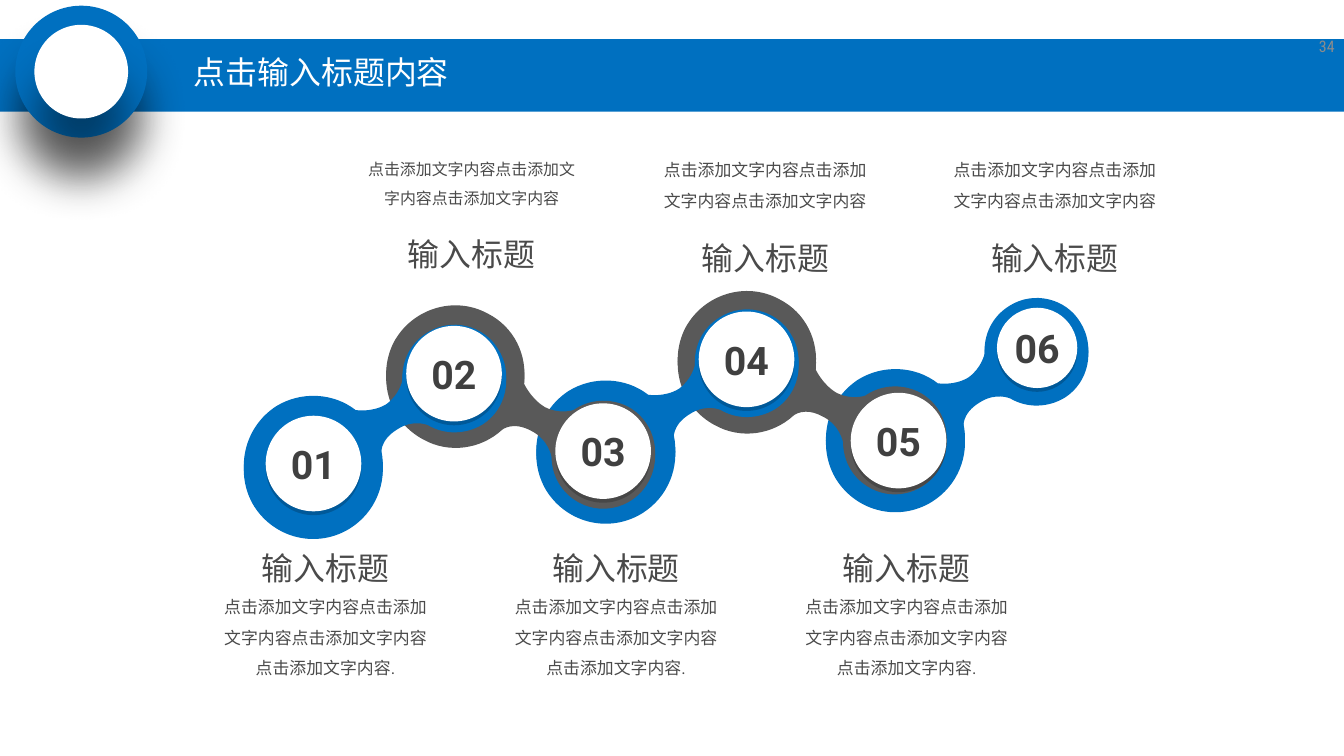
from lxml import etree
from pptx import Presentation
from pptx.dml.color import RGBColor
from pptx.enum.shapes import MSO_SHAPE
from pptx.enum.text import MSO_ANCHOR, PP_ALIGN
from pptx.oxml.ns import qn
from pptx.util import Inches, Pt

RECTANGLE, OVAL = MSO_SHAPE.RECTANGLE, MSO_SHAPE.OVAL
LEFT, CENTER, RIGHT = PP_ALIGN.LEFT, PP_ALIGN.CENTER, PP_ALIGN.RIGHT
TOP, MIDDLE = MSO_ANCHOR.TOP, MSO_ANCHOR.MIDDLE

BLUE = RGBColor(0x00, 0x70, 0xC0)
GRAY = RGBColor(0x59, 0x59, 0x59)
BLACK = RGBColor(0x00, 0x00, 0x00)
WHITE = RGBColor(0xFF, 0xFF, 0xFF)
NUMBER_COLOR = RGBColor(0x40, 0x40, 0x40)
CAPTION_COLOR = RGBColor(0x4A, 0x4A, 0x4A)
PAGE_COLOR = RGBColor(0x8C, 0x8C, 0x8C)

CELL = Inches(1)
COLUMNS, ROWS = 14.06, 7.91
DROP = 0.04

HEADING = "输入标题"
PHRASE = "点击添加文字内容"

RISING_CURVES = [
    ((0.93, -0.89), (0.9, -0.74), (0.76, -0.64)),
    ((0.61, -0.55), (0.44, -0.58), (0.44, -0.58)),
    ((0.21, -0.76), (-0.13, -0.78), (-0.39, -0.62)),
    ((-0.73, -0.4), (-0.83, 0.05), (-0.62, 0.39)),
    ((-0.4, 0.73), (0.04, 0.83), (0.38, 0.62)),
    ((0.65, 0.45), (0.77, 0.14), (0.71, -0.15)),
    ((0.71, -0.15), (0.68, -0.3), (0.88, -0.42)),
    ((1.05, -0.53), (1.2, -0.46), (1.2, -0.46)),
    ((1.37, -0.36), (1.59, -0.36), (1.77, -0.47)),
    ((2.02, -0.63), (2.09, -0.97), (1.93, -1.22)),
    ((1.78, -1.47), (1.44, -1.55), (1.19, -1.39)),
    ((1.01, -1.28), (0.92, -1.09), (0.93, -0.89)),
]
FALLING_CURVES = [
    ((1.23, 0.37), (1.09, 0.42), (0.93, 0.34)),
    ((0.78, 0.25), (0.71, 0.09), (0.71, 0.09)),
    ((0.75, -0.2), (0.61, -0.5), (0.33, -0.64)),
    ((-0.02, -0.83), (-0.46, -0.69), (-0.65, -0.34)),
    ((-0.83, 0.01), (-0.7, 0.45), (-0.34, 0.64)),
    ((-0.07, 0.79), (0.26, 0.74), (0.48, 0.54)),
    ((0.48, 0.54), (0.59, 0.44), (0.79, 0.55)),
    ((0.97, 0.64), (1, 0.82), (1, 0.82)),
    ((1, 1.01), (1.1, 1.2), (1.29, 1.3)),
    ((1.55, 1.44), (1.88, 1.34), (2.02, 1.07)),
    ((2.16, 0.8), (2.06, 0.47), (1.79, 0.33)),
    ((1.6, 0.24), (1.39, 0.26), (1.23, 0.37)),
]
RISING = (RISING_CURVES, BLUE)
FALLING = (FALLING_CURVES, GRAY)

LINKS = [
    (9.37, 4.63, RISING),
    (7.82, 3.81, FALLING),
    (6.34, 4.75, RISING),
    (4.77, 3.96, FALLING),
    (3.28, 4.91, RISING),
]
DISCS = [
    ("01", 2.78, 4.35, 1),
    ("02", 4.25, 3.41, 1),
    ("03", 5.81, 4.22, 1),
    ("04", 7.31, 3.26, 1),
    ("05", 8.9, 4.11, 1),
    ("06", 10.43, 3.22, 0.84),
]
UPPER_CAPTIONS = [(3.71, 12), (6.78, 12.7), (9.81, 12.7)]


def cells(*counts):
    return [round(count * CELL) for count in counts]


def paint(shape, color):
    shape.shadow.inherit = False
    shape.fill.solid()
    shape.fill.fore_color.rgb = color
    shape.line.fill.background()


def add_filled(slide, kind, box, color):
    shape = slide.shapes.add_shape(kind, *cells(*box))
    paint(shape, color)
    return shape


def set_alpha(color_element, percent):
    alpha = etree.SubElement(color_element, qn("a:alpha"))
    alpha.set("val", str(percent * 1000))


def add_soft_shadow(shape):
    effects = shape._element.spPr.find(qn("a:effectLst"))
    shadow = etree.SubElement(effects, qn("a:outerShdw"))
    for name, value in (("blurRad", Pt(33)), ("dist", Pt(33)), ("dir", 5400000)):
        shadow.set(name, str(int(value)))
    shadow.set("rotWithShape", "0")
    color = etree.SubElement(shadow, qn("a:srgbClr"))
    color.set("val", str(BLACK))
    set_alpha(color, 43)


def format_runs(paragraph, size, color, font_name="Roboto", bold=False):
    for run in paragraph.runs:
        run.font.size = Pt(size)
        run.font.name = font_name
        run.font.bold = bold
        run.font.color.rgb = color


def add_label(slide, box, text, size, color, align):
    text_frame = slide.shapes.add_textbox(*cells(*box)).text_frame
    text_frame.word_wrap = True
    text_frame.vertical_anchor = MIDDLE
    text_frame.text = text
    paragraph = text_frame.paragraphs[0]
    paragraph.alignment = align
    paragraph.line_spacing = 0.9
    format_runs(paragraph, size, color, "Roboto Condensed")


def add_caption(slide, box, lines, gap):
    text_frame = slide.shapes.add_textbox(*cells(*box)).text_frame
    text_frame.word_wrap = True
    text_frame.vertical_anchor = TOP
    text_frame.text = "\n".join(text for text, size in lines)
    for index, paragraph in enumerate(text_frame.paragraphs):
        paragraph.alignment = CENTER
        paragraph.line_spacing = 1.5
        paragraph.space_before = Pt(gap if index else 0)
        format_runs(paragraph, lines[index][1], CAPTION_COLOR)


def bend_segments(shape):
    segments = list(shape._element.iter(qn("a:lnTo")))
    for index in range(0, len(segments), 3):
        curve = etree.Element(qn("a:cubicBezTo"))
        segments[index].addprevious(curve)
        for segment in segments[index:index + 3]:
            curve.append(segment[0])
            segment.getparent().remove(segment)


def add_link(slide, center_x, center_y, outline):
    curves, color = outline
    points = [cells(center_x + x, center_y + y) for curve in curves for x, y in curve]
    builder = slide.shapes.build_freeform(*points[-1], scale=1.0)
    builder.add_line_segments(points, close=True)
    link = builder.convert_to_shape()
    bend_segments(link)
    paint(link, color)


def add_disc(slide, number, left, top, size):
    shade = add_filled(slide, OVAL, (left, top + DROP, size, size), BLACK)
    set_alpha(shade._element.spPr.find(qn("a:solidFill"))[0], 20)
    disc = add_filled(slide, OVAL, (left, top, size, size), WHITE)
    text_frame = disc.text_frame
    text_frame.word_wrap = False
    text_frame.vertical_anchor = MIDDLE
    text_frame.margin_left = text_frame.margin_right = 0
    text_frame.text = number
    text_frame.paragraphs[0].alignment = CENTER
    format_runs(text_frame.paragraphs[0], 29.6, NUMBER_COLOR, bold=True)


def add_header(slide):
    add_filled(slide, RECTANGLE, (0, 0.41, COLUMNS, 0.76), BLUE)
    for left, top, size, color in ((0.16, 0.06, 1.38, BLUE), (0.36, 0.26, 0.98, WHITE)):
        add_soft_shadow(add_filled(slide, OVAL, (left, top, size, size), color))
    add_label(slide, (1.93, 0.5, 3.47, 0.55), "点击输入标题内容", 24, WHITE, LEFT)
    add_label(slide, (13.37, 0.29, 0.69, 0.42), "34", 12, PAGE_COLOR, RIGHT)


def main():
    presentation = Presentation()
    presentation.slide_width, presentation.slide_height = cells(COLUMNS, ROWS)
    slide = presentation.slides.add_slide(presentation.slide_layouts[6])
    add_header(slide)
    for center_x, center_y, outline in LINKS:
        for lift in (0, DROP):
            add_link(slide, center_x, center_y - lift, outline)
    for disc in DISCS:
        add_disc(slide, *disc)
    for index in range(3):
        lines = [(HEADING, 24), (PHRASE * 3 + " " + PHRASE + ".", 12.7)]
        add_caption(slide, (2.23 + 3.04 * index, 5.49, 2.35, 1.98), lines, 0)
    for left, size in UPPER_CAPTIONS:
        lines = [(PHRASE * 3, size), (HEADING, 24)]
        add_caption(slide, (left, 1.52, 2.45, 1.83), lines, 6.3)
    presentation.save("out.pptx")


if __name__ == "__main__":
    main()
